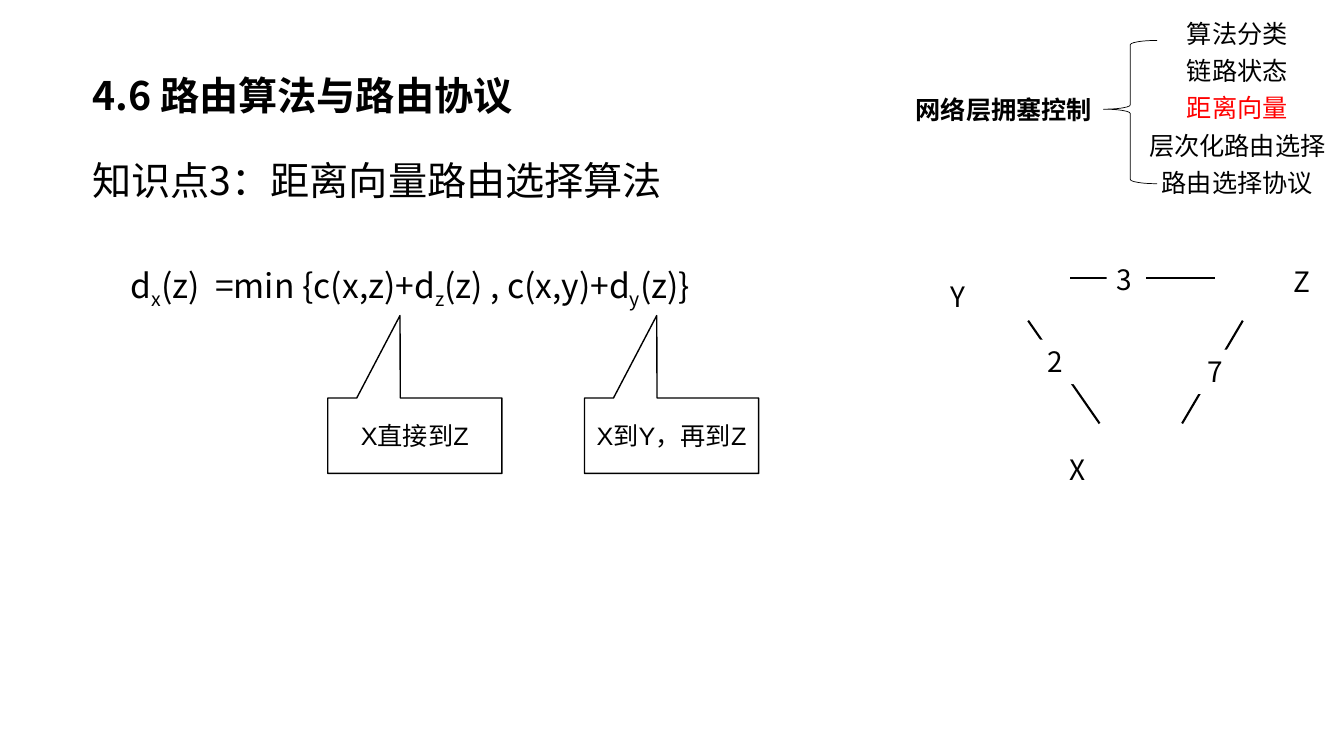
"""Build the slide on the distance-vector routing algorithm."""
from pptx import Presentation
from pptx.dml.color import RGBColor
from pptx.enum.shapes import MSO_CONNECTOR, MSO_SHAPE
from pptx.enum.text import MSO_ANCHOR, MSO_AUTO_SIZE, PP_ALIGN
from pptx.oxml.ns import qn
from pptx.util import Cm, Pt
from lxml import etree

CJK = "Noto Sans CJK SC"


def color(value):
    return RGBColor.from_string(value)


def write(sp, text, size, name=CJK, bold=False, fill="000000", align=PP_ALIGN.LEFT,
          spacing=None, wrap=True, grow=True):
    """Fill a shape with one paragraph; parts between underscores are subscripts."""
    tf = sp.text_frame
    tf.word_wrap = wrap
    tf.auto_size = MSO_AUTO_SIZE.SHAPE_TO_FIT_TEXT if grow else MSO_AUTO_SIZE.NONE
    p = tf.paragraphs[0]
    p.alignment = align
    p.line_spacing = spacing
    p.font.name, p.font.size, p.font.bold = name, Pt(size), bold
    p.font.color.rgb = color(fill)
    latin = p._p.pPr.find(qn("a:defRPr")).find(qn("a:latin"))
    ea = etree.Element(qn("a:ea"), typeface=CJK)
    latin.addnext(ea)
    for i, part in enumerate(text.split("_")):
        r = p.add_run()
        r.text = part
        if i % 2:
            r._r.get_or_add_rPr().set("baseline", "-25000")
    return tf


prs = Presentation()
prs.slide_width, prs.slide_height = Cm(33.87), Cm(19.05)
s = prs.slides.add_slide(prs.slide_layouts[6])

title = s.shapes.add_textbox(Cm(2.03), Cm(1.65), Cm(24.51), Cm(1.5))
subtitle = s.shapes.add_textbox(Cm(2.03), Cm(2.92), Cm(30.89), Cm(2.64))
write(title, "4.6 路由算法与路由协议", 28, bold=True)
write(subtitle, "知识点3：距离向量路由选择算法", 28, spacing=1.5, grow=False)
subtitle.text_frame.vertical_anchor = MSO_ANCHOR.MIDDLE
for sp in (title, subtitle):
    tf = sp.text_frame
    tf.margin_left = tf.margin_right = Cm(0.3)
    tf.margin_top = tf.margin_bottom = Cm(0.15)

formula = s.shapes.add_textbox(Cm(3.05), Cm(5.97), Cm(27.79), Cm(1.8))
write(formula, "d_x_(z)  =min {c(x,z)+d_z_(z) , c(x,y)+d_y_(z)}", 24, spacing=1.5)

brace = s.shapes.add_shape(MSO_SHAPE.LEFT_BRACE, Cm(27.81), Cm(1.02), Cm(1.35), Cm(3.61))
brace.adjustments[0], brace.adjustments[1] = 0.08, 0.48
brace.shadow.inherit = False
brace.fill.background()
brace.line.color.rgb = color("000000")
brace.line.width = Pt(0.5)

heading = s.shapes.add_textbox(Cm(22.83), Cm(2.24), Cm(5.03), Cm(1.02))
write(heading, "网络层拥塞控制", 18, bold=True, wrap=False)

topics = [("算法分类", 3.07), ("链路状态", 3.07), ("距离向量", 3.07),
          ("层次化路由选择", 5), ("路由选择协议", 4.37)]
for i, (topic, width) in enumerate(topics):
    sp = s.shapes.add_textbox(Cm(31.18 - width / 2), Cm(0.53 + 0.94 * i), Cm(width), Cm(0.84))
    write(sp, topic, 18, fill="FF0000" if topic == "距离向量" else "000000",
          align=PP_ALIGN.CENTER, spacing=Pt(16), wrap=False)

for x, note in [(8.26, "X直接到Z"), (14.73, "X到Y，再到Z")]:
    sp = s.shapes.add_shape(MSO_SHAPE.RECTANGULAR_CALLOUT, Cm(x), Cm(10.03), Cm(4.39), Cm(1.9))
    sp.adjustments[0], sp.adjustments[1] = -0.085, -1.594
    sp.shadow.inherit = False
    sp.fill.solid()
    sp.fill.fore_color.rgb = color("FFFFFF")
    sp.line.color.rgb = color("000000")
    sp.line.width = Pt(1)
    tf = write(sp, note, 18, name="Arial", align=PP_ALIGN.CENTER, grow=False)
    tf.vertical_anchor = MSO_ANCHOR.MIDDLE

for x1, y1, x2, y2 in [(26.97, 7.01, 30.61, 7.01), (25.91, 8.08, 27.71, 10.67),
                       (31.32, 8.08, 29.79, 10.67)]:
    link = s.shapes.add_connector(MSO_CONNECTOR.STRAIGHT, Cm(x1), Cm(y1), Cm(x2), Cm(y2))
    link.line.color.rgb = color("000000")
    link.line.width = Pt(1.5)
    etree.SubElement(link._element.spPr, qn("a:effectLst"))

labels = [("X", 26.7, 11.28), ("Y", 23.7, 6.93), ("Z", 32.36, 6.53),
          ("7", 30.18, 8.81), ("3", 27.89, 6.5), ("2", 26.14, 8.56)]
for label, x, y in labels:
    sp = s.shapes.add_textbox(Cm(x), Cm(y), Cm(0.99), Cm(1.12))
    write(sp, label, 20)
    if label.isdigit():
        sp.fill.solid()
        sp.fill.fore_color.rgb = color("FFFFFF")

prs.save("out.pptx")
